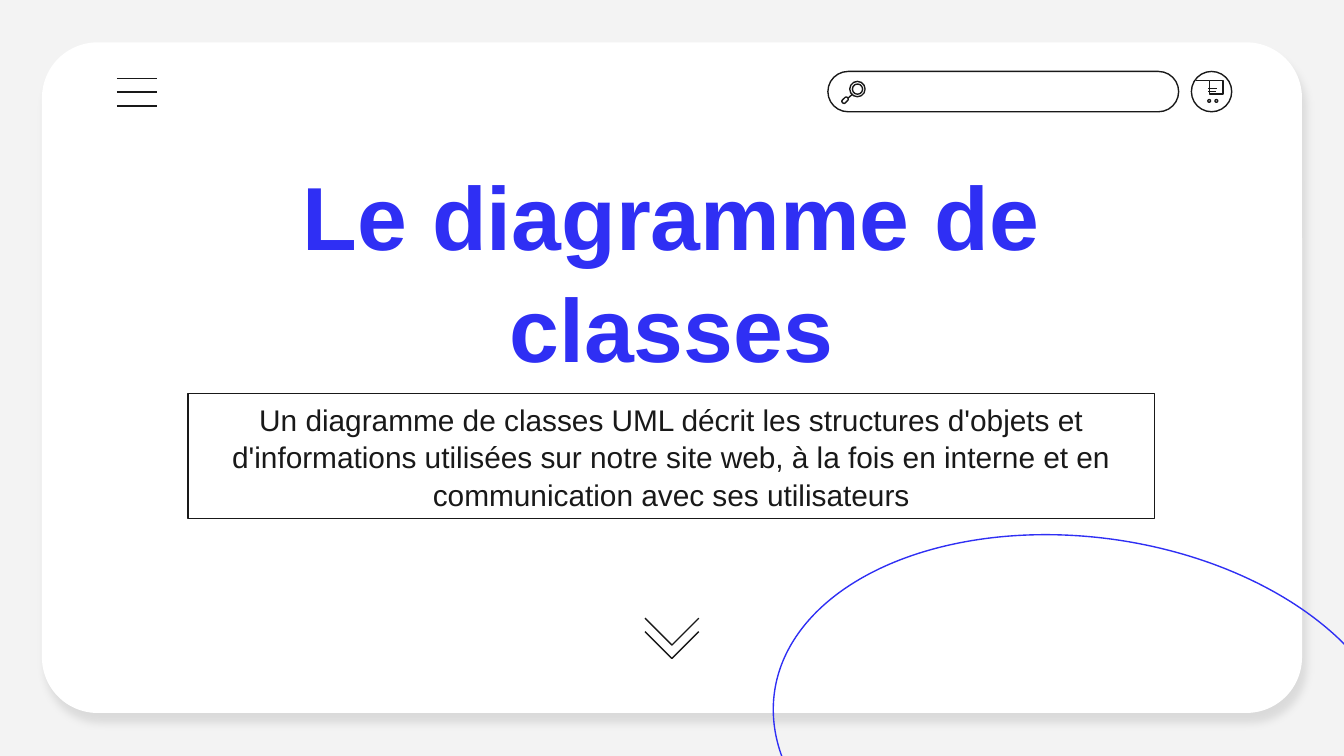
from typing import NamedTuple

from lxml import etree
from pptx import Presentation
from pptx.dml.color import RGBColor
from pptx.enum.shapes import MSO_CONNECTOR, MSO_SHAPE
from pptx.enum.text import MSO_ANCHOR, MSO_AUTO_SIZE, PP_ALIGN
from pptx.oxml import parse_xml
from pptx.oxml.ns import qn
from pptx.util import Inches, Pt

COLORS = {"page": "F3F3F3", "card": "FFFFFF", "ink": "191919", "accent": "2F2FF4"}
COLUMNS, ROWS = 100, 56.25
CELL = Inches(0.1)
LINE_WIDTH = 0.75

RECTANGLE = MSO_SHAPE.RECTANGLE
ROUNDED = MSO_SHAPE.ROUNDED_RECTANGLE
OVAL = MSO_SHAPE.OVAL
STRAIGHT = MSO_CONNECTOR.STRAIGHT
CENTER = PP_ALIGN.CENTER

SHADOW = """<a:effectLst xmlns:a="http://schemas.openxmlformats.org/drawingml/2006/main">
<a:outerShdw blurRad="57150" dist="76200" dir="4080000" algn="bl" rotWithShape="0">
<a:srgbClr val="000000"><a:alpha val="10000"/></a:srgbClr></a:outerShdw></a:effectLst>"""


class Box(NamedTuple):
    """Left, top, width and height in grid columns and rows."""
    left: float
    top: float
    width: float
    height: float


class Outline(NamedTuple):
    kind: int
    box: Box
    color: str = "ink"
    width: float = LINE_WIDTH
    rotation: float = 0
    corner: float | None = None


class TextStyle(NamedTuple):
    size: float
    color: str
    bold: bool
    anchor: int


def grid(cells: float) -> int:
    return round(cells * CELL)


def rgb(name: str) -> RGBColor:
    return RGBColor.from_string(COLORS[name])


def place(shape, box: Box) -> None:
    for name, cells in box._asdict().items():
        setattr(shape, name, grid(cells))


def style_line(line, color: str = "ink", width: float = LINE_WIDTH) -> None:
    line.color.rgb = rgb(color)
    line.width = Pt(width)


def draw_outline(page, outline: Outline) -> None:
    shape = page.shapes.add_shape(outline.kind, *map(grid, outline.box))
    shape.shadow.inherit = False
    shape.fill.background()
    shape.rotation = outline.rotation
    if outline.corner is not None:
        shape.adjustments[0] = outline.corner
    style_line(shape.line, outline.color, outline.width)


def draw_line(page, start: tuple, end: tuple, width: float = LINE_WIDTH) -> None:
    line = page.shapes.add_connector(STRAIGHT, *map(grid, start + end))
    etree.SubElement(line.element.spPr, qn("a:effectLst"))
    style_line(line.line, width=width)


def draw_path(page, points: list, width: float = LINE_WIDTH) -> None:
    builder = page.shapes.build_freeform(*points[0], scale=CELL)
    builder.add_line_segments(points[1:], close=False)
    shape = builder.convert_to_shape()
    shape.shadow.inherit = False
    shape.fill.background()
    style_line(shape.line, width=width)


def draw_card(page):
    card = page.shapes.add_shape(ROUNDED, *map(grid, Box(3.12, 3.15, 93.76, 49.9)))
    card.adjustments[0] = 0.083
    card.fill.solid()
    card.fill.fore_color.rgb = rgb("card")
    card.line.fill.background()
    card.element.spPr.append(parse_xml(SHADOW))
    return card


def write(placeholder, box: Box, text: str, style: TextStyle) -> None:
    place(placeholder, box)
    frame = placeholder.text_frame
    frame.text = text
    margins = {f"margin_{side}": grid(1) for side in ("left", "right", "top", "bottom")}
    formats = margins | {"word_wrap": True, "auto_size": MSO_AUTO_SIZE.NONE,
                         "vertical_anchor": style.anchor}
    for name, value in formats.items():
        setattr(frame, name, value)
    para = frame.paragraphs[0]
    for name, value in {"alignment": CENTER, "line_spacing": 1.04,
                        "space_before": Pt(0)}.items():
        setattr(para, name, value)
    font = para.runs[0].font
    for name, value in {"name": "Arial", "size": Pt(style.size), "bold": style.bold}.items():
        setattr(font, name, value)
    font.color.rgb = rgb(style.color)


def draw_menu(page) -> None:
    for index in range(3):
        row = 5.83 + index * 1.03
        draw_line(page, (8.7, row), (11.7, row))


def draw_search_icon(page) -> None:
    for outline in (
        Outline(OVAL, Box(63.23, 6.06, 1.14, 1.14)),
        Outline(OVAL, Box(63.42, 6.25, 0.76, 0.76)),
        Outline(ROUNDED, Box(62.73, 7.2, 0.3, 0.52), rotation=45, corner=0.4),
    ):
        draw_outline(page, outline)
    draw_line(page, (63.1, 7.3), (63.4, 7.04))
    draw_path(page, [(63.62, 6.5), (63.8, 6.42), (63.98, 6.5)], 0.5)


def draw_cart_icon(page) -> None:
    draw_path(page, [(89.28, 6.12), (89.53, 6.22), (89.75, 7.25), (90.8, 7.25)])
    draw_path(page, [(89.55, 6.36), (90.94, 6.36), (90.8, 7.04), (89.68, 7.04)])
    for row, end in ((6.6, 90.56), (6.83, 90.5)):
        draw_line(page, (89.92, row), (end, row), 0.5)
    for column in (89.87, 90.4):
        draw_outline(page, Outline(OVAL, Box(column, 7.41, 0.2, 0.2)))


def draw_chevrons(page) -> None:
    for top in (45.85, 47.02):
        draw_path(page, [(48.2, top), (50, top + 1.84), (51.8, top + 0.05)])


def main() -> None:
    deck = Presentation()
    deck.slide_width, deck.slide_height = grid(COLUMNS), grid(ROWS)
    page = deck.slides.add_slide(deck.slide_layouts[0])
    page.background.fill.solid()
    page.background.fill.fore_color.rgb = rgb("page")

    title, subtitle = page.placeholders
    title.element.addprevious(draw_card(page).element)
    write(title, Box(14, 12, 71.9, 17.3), "Le diagramme de classes",
          TextStyle(48, "accent", True, MSO_ANCHOR.BOTTOM))
    write(subtitle, Box(14, 29.3, 71.9, 9.3),
          "Un diagramme de classes UML décrit les structures d'objets et "
          "d'informations utilisées sur notre site web, à la fois en interne "
          "et en communication avec ses utilisateurs",
          TextStyle(16, "ink", False, MSO_ANCHOR.MIDDLE))
    style_line(subtitle.line)

    draw_menu(page)
    for outline in (
        Outline(ROUNDED, Box(61.6, 5.32, 26.1, 3), corner=0.5),
        Outline(OVAL, Box(88.65, 5.32, 3, 3)),
        Outline(OVAL, Box(57.4, 40, 46.9, 29.5), "accent", rotation=8),
    ):
        draw_outline(page, outline)
    draw_search_icon(page)
    draw_cart_icon(page)
    draw_chevrons(page)
    deck.save("out.pptx")


if __name__ == "__main__":
    main()
